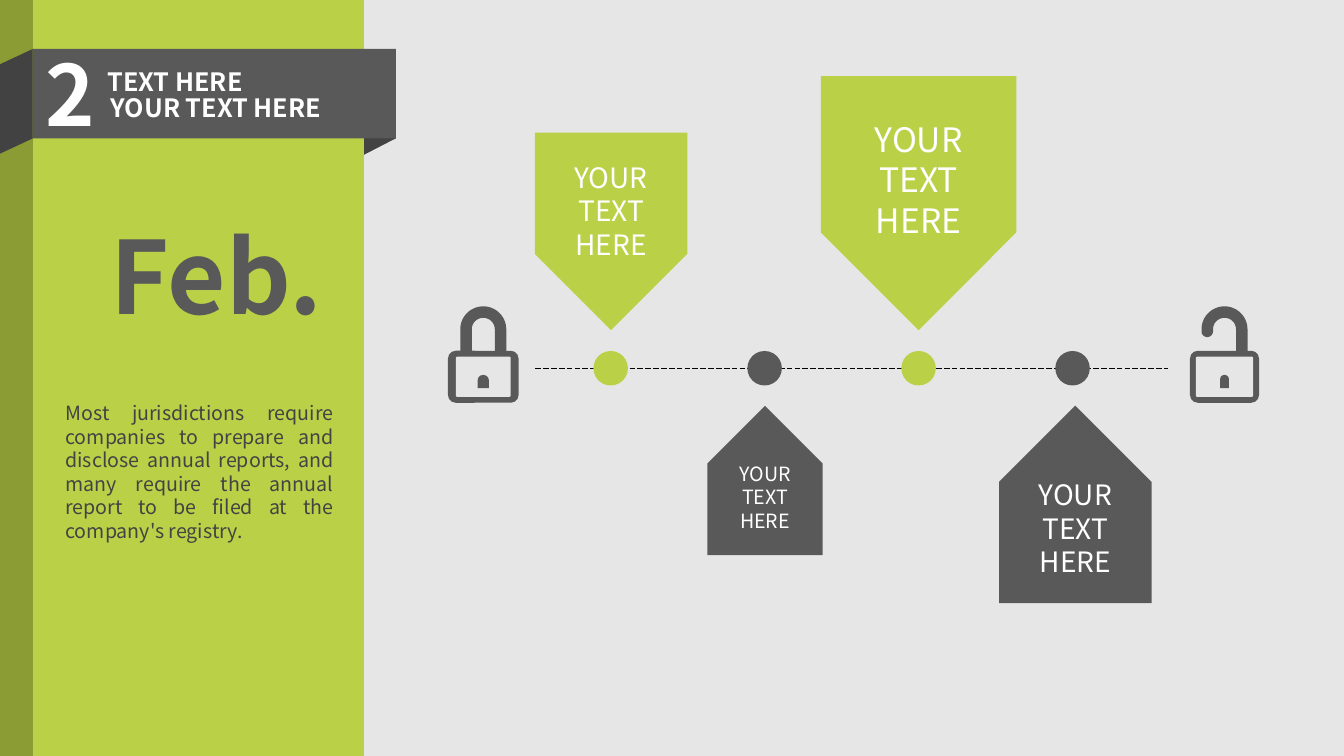
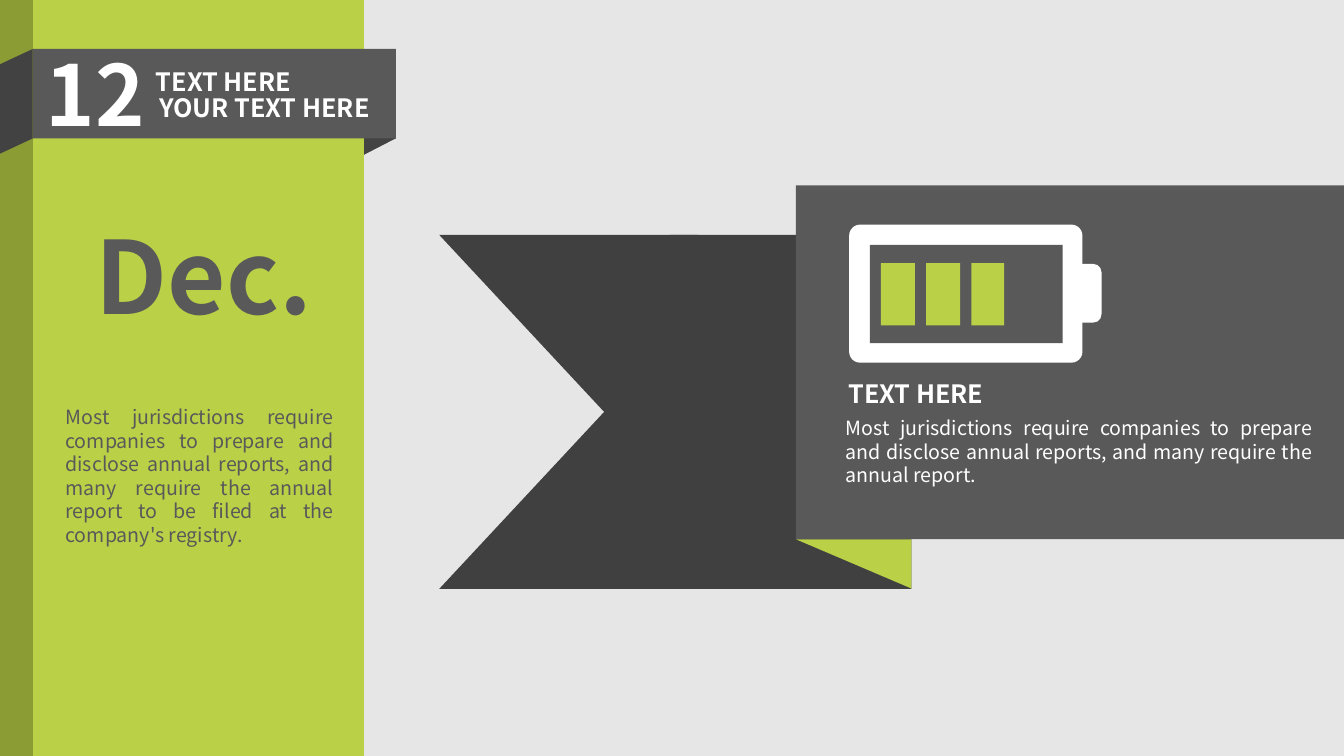
import math

from lxml import etree
from pptx import Presentation
from pptx.dml.color import RGBColor
from pptx.enum import dml, shapes, text
from pptx.oxml import ns
from pptx.util import Cm, Pt

FONT = "Noto Sans CJK SC"
COLOURS = {
    "paper": "E7E6E6",
    "lime": "BAD147",
    "grey": "595959",
    "fold": "434343",
    "ribbon": "404040",
    "white": "FFFFFF",
    "black": "000000",
}
KIND = shapes.MSO_SHAPE
ALIGN = text.PP_ALIGN
REPORT = "Most jurisdictions require companies to prepare and disclose annual reports, and many require the annual report"


def add_part(slide, kind, x, y, w, h, colour, turn=0, adjust=None):
    """Add a filled preset shape without line or shadow; lengths are in cm."""
    part = slide.shapes.add_shape(kind, Cm(x), Cm(y), Cm(w), Cm(h))
    part.shadow.inherit = False
    part.fill.solid()
    part.fill.fore_color.rgb = RGBColor.from_string(COLOURS[colour])
    part.line.fill.background()
    part.rotation = turn
    if adjust is not None:
        part.adjustments[0] = adjust
    return part


def write(slide, words, x, y, w, h, size, colour, bold=False, align=ALIGN.LEFT, wrap=True):
    """Add a text box holding one run; lengths are in cm, size in points."""
    frame = slide.shapes.add_textbox(Cm(x), Cm(y), Cm(w), Cm(h)).text_frame
    frame.word_wrap = wrap
    frame.auto_size = text.MSO_AUTO_SIZE.SHAPE_TO_FIT_TEXT
    frame.paragraphs[0].alignment = align
    run = frame.paragraphs[0].add_run()
    run.text = words
    run.font.name = FONT
    run.font.size = Pt(size)
    run.font.bold = bold
    run.font.color.rgb = RGBColor.from_string(COLOURS[colour])


deck = Presentation()
deck.slide_width, deck.slide_height = Cm(33.87), Cm(19.05)
layout = deck.slide_layouts[6]
for placeholder in list(layout.placeholders):
    layout.shapes.element.remove(placeholder.element)
layout.background.fill.solid()
layout.background.fill.fore_color.rgb = RGBColor.from_string(COLOURS["paper"])
february, december = [deck.slides.add_slide(layout) for _ in range(2)]

# Side panel and folded title band, shared through the layout
right_fold = add_part(february, KIND.ISOSCELES_TRIANGLE, 8.81, 2.74, 1.52, 0.81, "fold", 90, 0.725)
panel = add_part(february, KIND.RECTANGLE, 0, 0, 9.17, 19.05, "lime")
left_fold = add_part(february, KIND.PARALLELOGRAM, -0.91, 2.14, 2.64, 0.83, "grey", 90, 0.466)
left_fold.element.spPr.get_or_add_xfrm().set("flipH", "1")
title_band = add_part(february, KIND.RECTANGLE, 0.83, 1.23, 9.15, 2.26, "grey")
shade = add_part(february, KIND.RECTANGLE, 0, 0, 0.83, 19.05, "black")
shade_colour = shade.element.spPr.find(ns.qn("a:solidFill"))[0]
etree.SubElement(shade_colour, ns.qn("a:alpha"), val="25000")
for part in (right_fold, panel, left_fold, title_band, shade):
    layout.shapes.element.append(part.element)

# Number, title, month and introduction
months = [
    (february, "2", 1.83, 2.46, "Feb.", 2.54, 5.87, 9.98, "fold"),
    (december, "12", 3.53, 3.68, "Dec.", 2.16, 6.1, 10.08, "grey"),
]
for slide, number, number_w, title_x, month, month_x, month_w, intro_y, intro_colour in months:
    write(slide, number, 0.91, 0.94, number_w, 2.82, 60, "white", bold=True)
    write(slide, "TEXT HERE", title_x, 1.55, 4.06, 1.02, 18, "white", bold=True, wrap=False)
    write(slide, "YOUR TEXT HERE", title_x + 0.08, 2.21, 6.12, 1.02, 18, "white", bold=True, wrap=False)
    write(slide, month, month_x, 5.26, month_w, 3.33, 72, "grey", bold=True, wrap=False)
    write(slide, REPORT + " to be filed at the company's registry.", 1.4, intro_y, 7.26, 3.84, 14,
          intro_colour, align=ALIGN.JUSTIFY)

# February: timeline between two padlocks
AXIS_Y = 9.28
axis = february.shapes.add_connector(shapes.MSO_CONNECTOR.STRAIGHT, Cm(13.49), Cm(AXIS_Y), Cm(29.44), Cm(AXIS_Y))
axis.line.color.rgb = RGBColor.from_string(COLOURS["black"])
axis.line.width = Pt(0.5)
axis.line.dash_style = dml.MSO_LINE.LONG_DASH
etree.SubElement(axis.element.spPr, ns.qn("a:effectLst"))

# Tag centre x, centre y, length, breadth, then label top, width, height, size
tags = [
    (15.4, 5.83, 4.98, 3.84, 3.91, 2.57, 2.82, 20),
    (19.28, 12.11, 3.76, 2.9, 11.51, 1.93, 2.06, 14),
    (23.15, 5.12, 6.4, 4.93, 2.87, 2.9, 3.33, 24),
    (27.1, 12.71, 4.98, 3.84, 11.91, 2.57, 2.82, 20),
]
DOT, DOT_STEP = 0.87, 3.88
for i, (x, y, length, breadth, label_y, label_w, label_h, size) in enumerate(tags):
    colour, turn = (("lime", 90), ("grey", 270))[i % 2]
    add_part(february, KIND.PENTAGON, x - length / 2, y - breadth / 2, length, breadth, colour, turn)
    write(february, "YOUR TEXT HERE", x - label_w / 2, label_y, label_w, label_h, size, "white",
          align=ALIGN.CENTER)
    add_part(february, KIND.OVAL, 15.39 + i * DOT_STEP - DOT / 2, AXIS_Y - DOT / 2, DOT, DOT, colour)

# Padlock centre x, body width, side thickness, keyhole width, open or not
BODY_Y, BODY_H, RIM, ARCH_Y, OUTER, INNER = 8.84, 1.31, 0.15, 8.3, 0.58, 0.29
half_turn = [math.radians(a) for a in range(0, 181, 6)]
for x, body_w, side, keyhole_w, is_open in [(12.18, 1.78, 0.2, 0.28, False), (30.86, 1.74, 0.15, 0.22, True)]:
    foot = BODY_Y + 0.1
    shackle = [(x - OUTER * math.cos(a), ARCH_Y - OUTER * math.sin(a)) for a in half_turn]
    shackle += [(x + OUTER, foot), (x + INNER, foot)]
    shackle += [(x + INNER * math.cos(a), ARCH_Y - INNER * math.sin(a)) for a in half_turn]
    if is_open:
        middle, cap = (OUTER + INNER) / 2, (OUTER - INNER) / 2
        shackle += [(x - middle + cap * math.cos(a), ARCH_Y + 0.05 + cap * math.sin(a)) for a in half_turn]
    else:
        shackle += [(x - INNER, foot), (x - OUTER, foot)]
    points = [(Cm(px), Cm(py)) for px, py in shackle]
    builder = february.shapes.build_freeform(*points[0])
    builder.add_line_segments(points[1:])
    bow = builder.convert_to_shape()
    bow.shadow.inherit = False
    bow.fill.solid()
    bow.fill.fore_color.rgb = RGBColor.from_string(COLOURS["grey"])
    bow.line.fill.background()
    add_part(february, KIND.ROUNDED_RECTANGLE, x - body_w / 2, BODY_Y, body_w, BODY_H, "grey", adjust=0.15)
    add_part(february, KIND.ROUNDED_RECTANGLE, x - body_w / 2 + side, BODY_Y + RIM, body_w - 2 * side,
             BODY_H - 2 * RIM, "paper", adjust=0.03)
    add_part(february, KIND.ROUND_2_SAME_RECTANGLE, x - keyhole_w / 2, 9.45, keyhole_w, 0.33, "grey", adjust=0.45)

# December: ribbon, card and battery
RIBBON_H = 8.92
add_part(december, KIND.CHEVRON, 11.07, 5.92, 10.67, RIBBON_H, "ribbon", adjust=0.466)
add_part(december, KIND.RECTANGLE, 16.89, 5.92, 6.08, RIBBON_H, "ribbon")
add_part(december, KIND.RECTANGLE, 20.06, 4.67, 13.81, RIBBON_H, "grey")
add_part(december, KIND.RIGHT_TRIANGLE, 20.06, 13.59, 2.91, 1.24, "lime", 180)
write(december, REPORT + ".", 21.06, 10.36, 12.27, 2.06, 14, "white", align=ALIGN.JUSTIFY)
write(december, "TEXT HERE", 21.13, 9.42, 4.06, 1.02, 18, "white", bold=True, wrap=False)

add_part(december, KIND.ROUNDED_RECTANGLE, 26.7, 6.65, 1.06, 1.48, "white", adjust=0.2)
add_part(december, KIND.ROUNDED_RECTANGLE, 21.4, 5.66, 5.88, 3.48, "white", adjust=0.08)
add_part(december, KIND.RECTANGLE, 21.92, 6.17, 4.86, 2.48, "grey")
for i, cell_w in enumerate((0.86, 0.86, 0.83)):
    add_part(december, KIND.RECTANGLE, 22.2 + i * 1.14, 6.63, cell_w, 1.57, "lime")

deck.save("out.pptx")
